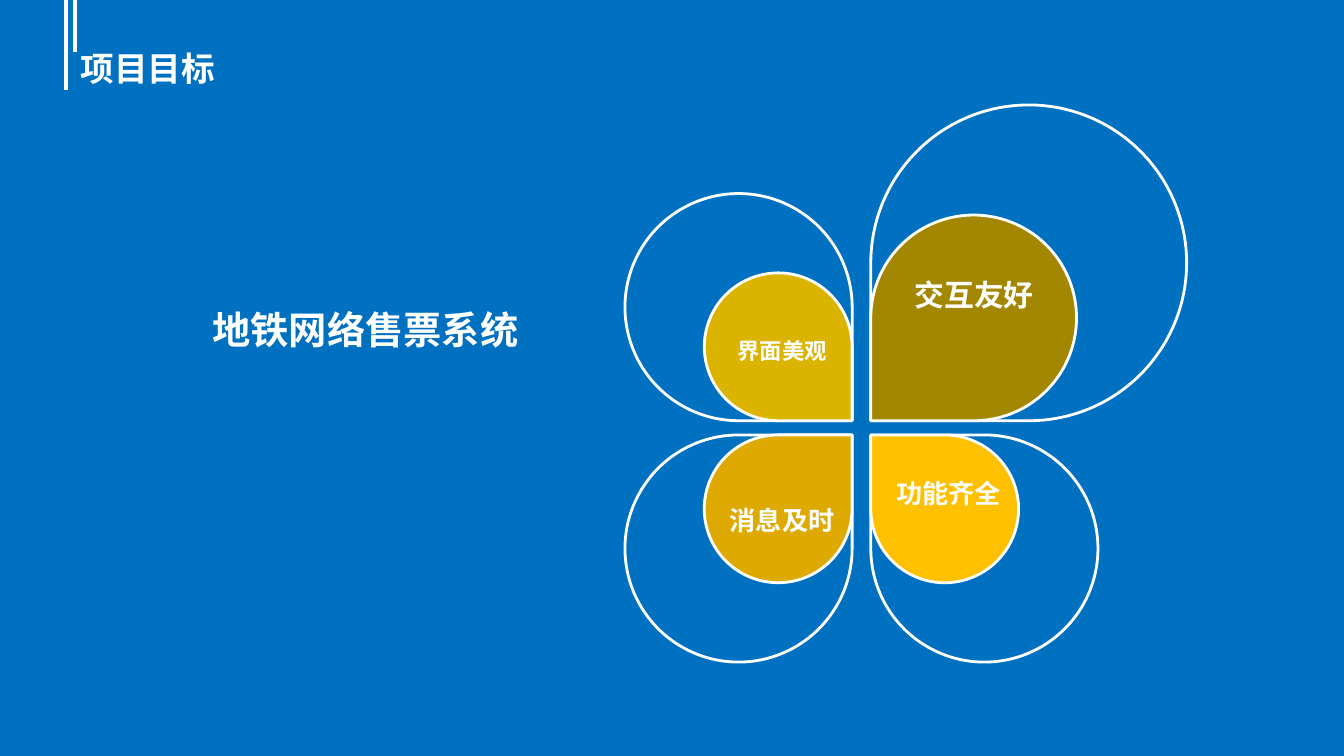
from dataclasses import dataclass

from lxml import etree
from pptx import Presentation
from pptx import util as u
from pptx.dml.color import RGBColor
from pptx.enum import shapes, text
from pptx.oxml import ns

Pt = u.Pt


@dataclass(frozen=True)
class Theme:
    back: str = "0070C0"
    white: str = "FFFFFF"
    olive: str = "A48700"
    mustard: str = "DBB400"
    amber: str = "DEA900"
    gold: str = "FFC000"
    title_font: str = "DejaVu Sans"
    label_font: str = "Arial"
    cjk_font: str = "Noto Sans CJK SC"
    title: float = 18
    heading: float = 20.5
    label_big: float = 16
    label: float = 14
    label_small: float = 12
    outline: float = 1.5
    rule: float = 2.25


T = Theme()


def rgb(value):
    return RGBColor.from_string(value)


def style_text(sp, words, size, font, align):
    tf = sp.text_frame
    tf.word_wrap = True
    tf.text = words
    p = tf.paragraphs[0]
    p.alignment = align
    r = p.runs[0]
    r.font.size, r.font.bold = Pt(size), True
    r.font.color.rgb = rgb(T.white)
    r.font.name = font
    ea = etree.SubElement(r.font._element, ns.qn("a:ea"))
    ea.set("typeface", T.cjk_font)
    return p


def add_text(s, box, words, size, font, align):
    sp = s.shapes.add_textbox(*map(Pt, box))
    p = style_text(sp, words, size, font, align)
    sp.text_frame.auto_size = text.MSO_AUTO_SIZE.SHAPE_TO_FIT_TEXT
    return p


def title_bar(s, left, top, width, height):
    # Two rules hanging from the top edge
    for x, length in ((left, 48.25), (left + 5, 28)):
        ln = s.shapes.add_connector(shapes.MSO_CONNECTOR.STRAIGHT,
                                    Pt(x), Pt(top), Pt(x), Pt(top + length))
        ln.line.color.rgb = rgb(T.white)
        ln.line.width = Pt(T.rule)
        etree.SubElement(ln._element.spPr, ns.qn("a:effectLst"))
    # Title placeholder
    sp = s.shapes.title
    sp.left, sp.top = Pt(left + 0.7), Pt(top + 16.5)
    sp.width, sp.height = Pt(width), Pt(height)
    style_text(sp, "项目目标", T.title, T.title_font, text.PP_ALIGN.LEFT)
    sp.text_frame.vertical_anchor = text.MSO_ANCHOR.MIDDLE


def heading(s, left, top, width, height):
    p = add_text(s, (left, top, width, height), "地铁网络售票系统",
                 T.heading, T.cjk_font, text.PP_ALIGN.LEFT)
    p.line_spacing = 1.14


def teardrop(s, tip_x, tip_y, dx, dy, size, fill=None):
    """Draw a drop that grows from its tip in the direction (dx, dy)."""
    left = tip_x if dx > 0 else tip_x - size
    top = tip_y if dy > 0 else tip_y - size
    sp = s.shapes.add_shape(shapes.MSO_SHAPE.TEAR,
                            Pt(left), Pt(top), Pt(size), Pt(size))
    sp.rotation = {(-1, 1): 0, (-1, -1): 90, (1, -1): 180, (1, 1): 270}[dx, dy]
    sp.shadow.inherit = False
    sp.line.color.rgb = rgb(T.white)
    sp.line.width = Pt(T.outline)
    if fill:
        sp.fill.solid()
        sp.fill.fore_color.rgb = rgb(fill)
    else:
        sp.fill.background()


def flower(s, left, top):
    hub_x, hub_y = left + 126.7, top + 173
    gap_x, gap_y = 5, 3.8
    label_w = 83.5
    # Direction, outer and inner size, fill, label, type size, label offset and height
    petals = (
        (-1, -1, 121.7, 79.2, T.mustard, "界面美观", T.label_small, -84.2, -52, 22.3),
        (1, -1, 169.2, 110.2, T.olive, "交互友好", T.label_big, 18.7, -84.4, 28),
        (-1, 1, 121.7, 79.2, T.amber, "消息及时", T.label, -84.2, 37.3, 25),
        (1, 1, 121.7, 79.2, T.gold, "功能齐全", T.label, 5, 23, 25),
    )
    for dx, dy, outer, inner, fill, words, size, x, y, h in petals:
        tip = hub_x + dx * gap_x, hub_y + dy * gap_y
        teardrop(s, *tip, dx, dy, outer)
        teardrop(s, *tip, dx, dy, inner, fill)
        add_text(s, (hub_x + x, hub_y + y, label_w, h), words, size,
                 T.label_font, text.PP_ALIGN.CENTER)


prs = Presentation()
prs.slide_width, prs.slide_height = Pt(720), Pt(405)
s = prs.slides.add_slide(prs.slide_layouts[5])
s.background.fill.solid()
s.background.fill.fore_color.rgb = rgb(T.back)

title_bar(s, 35.3, 0, 648, 40.3)
flower(s, 334.8, 56.2)
heading(s, 106.6, 157, 219.6, 35.3)

prs.save("out.pptx")
